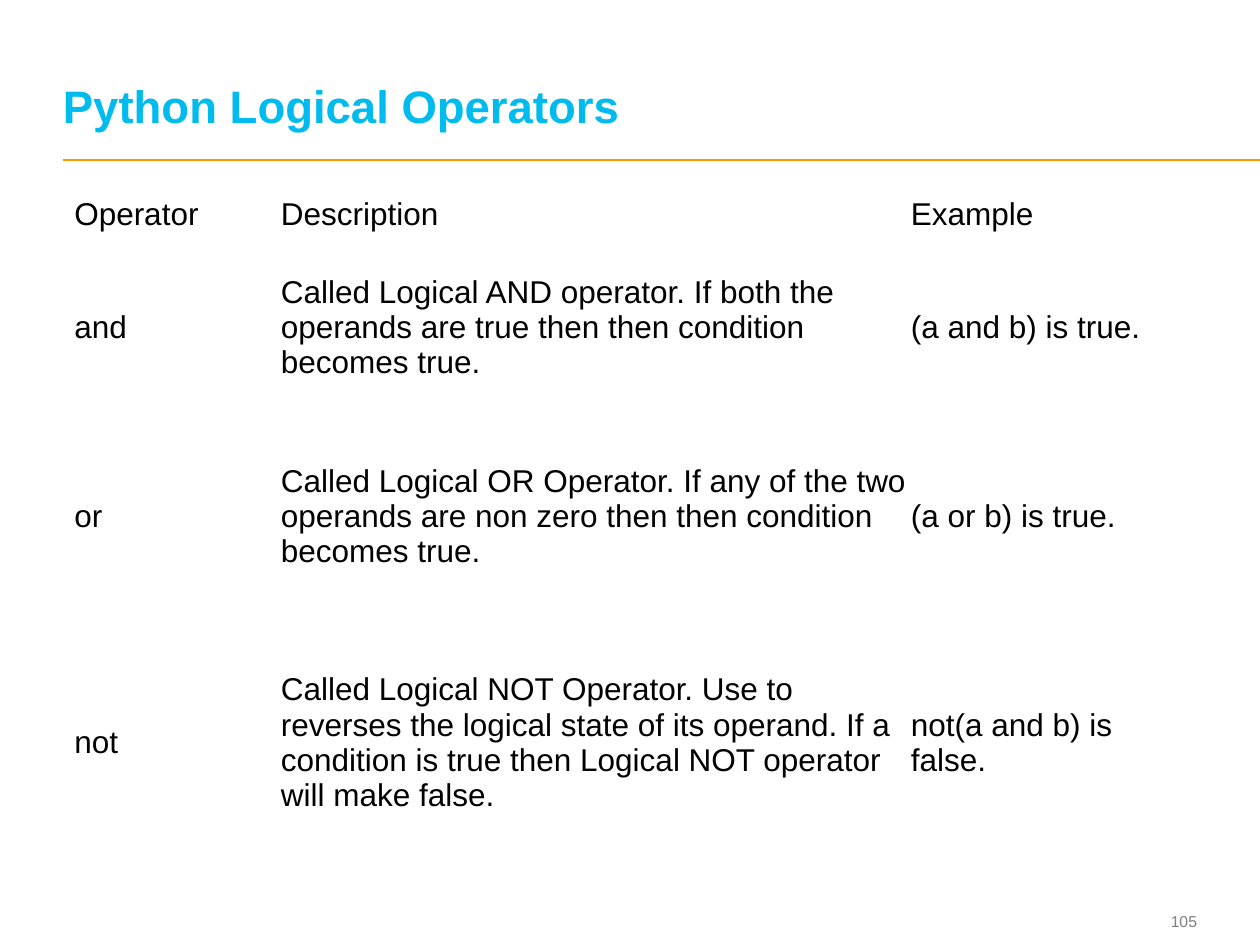
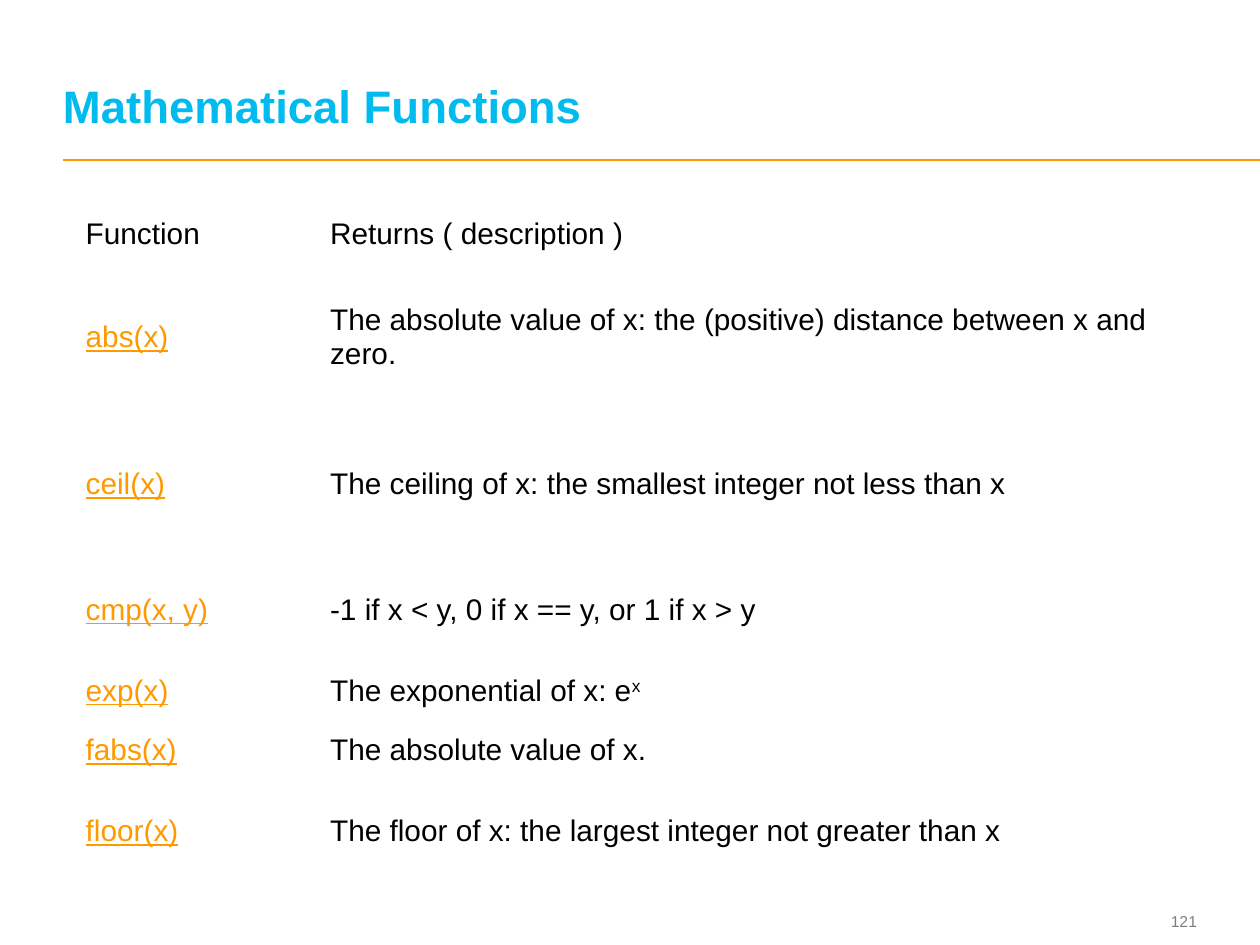
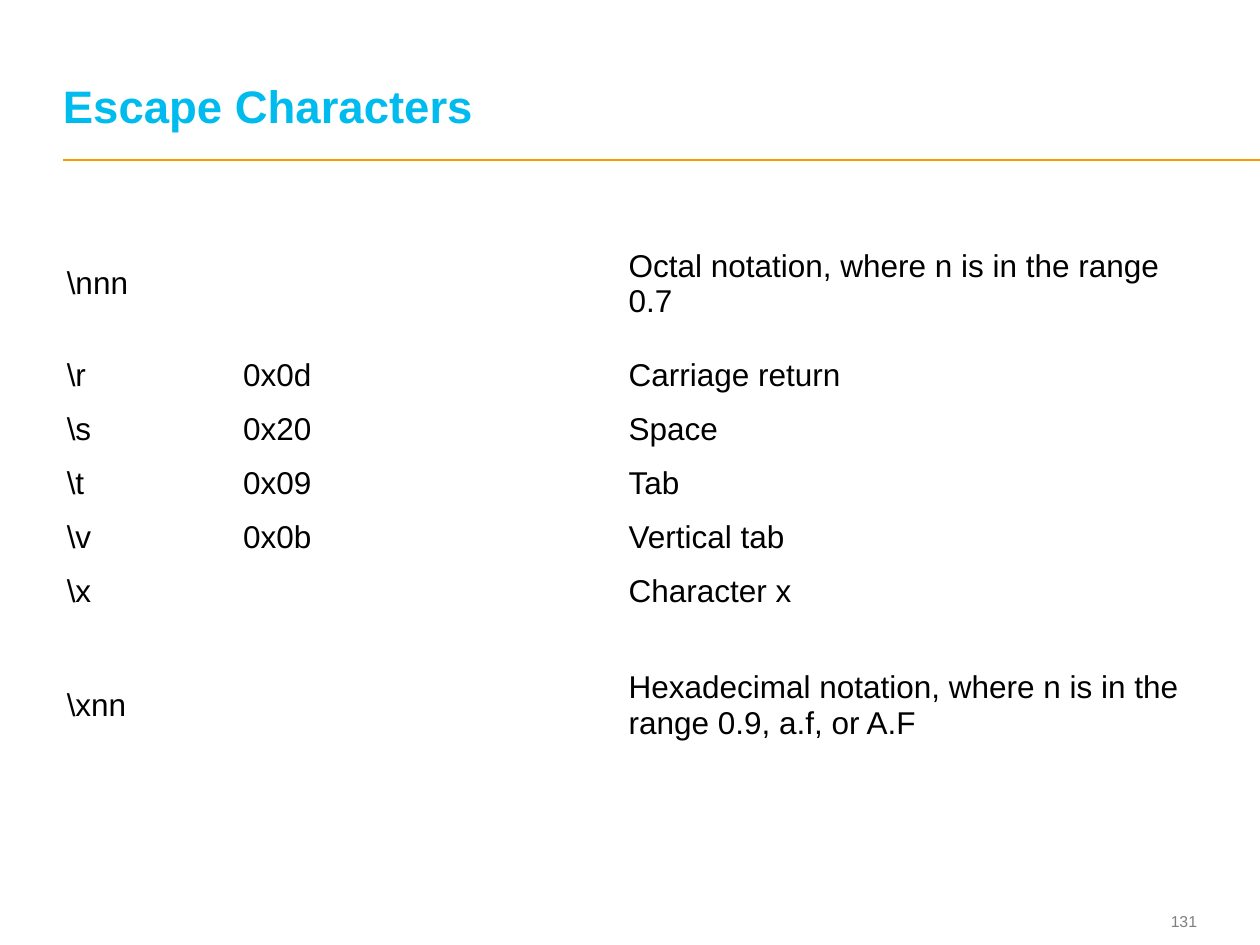
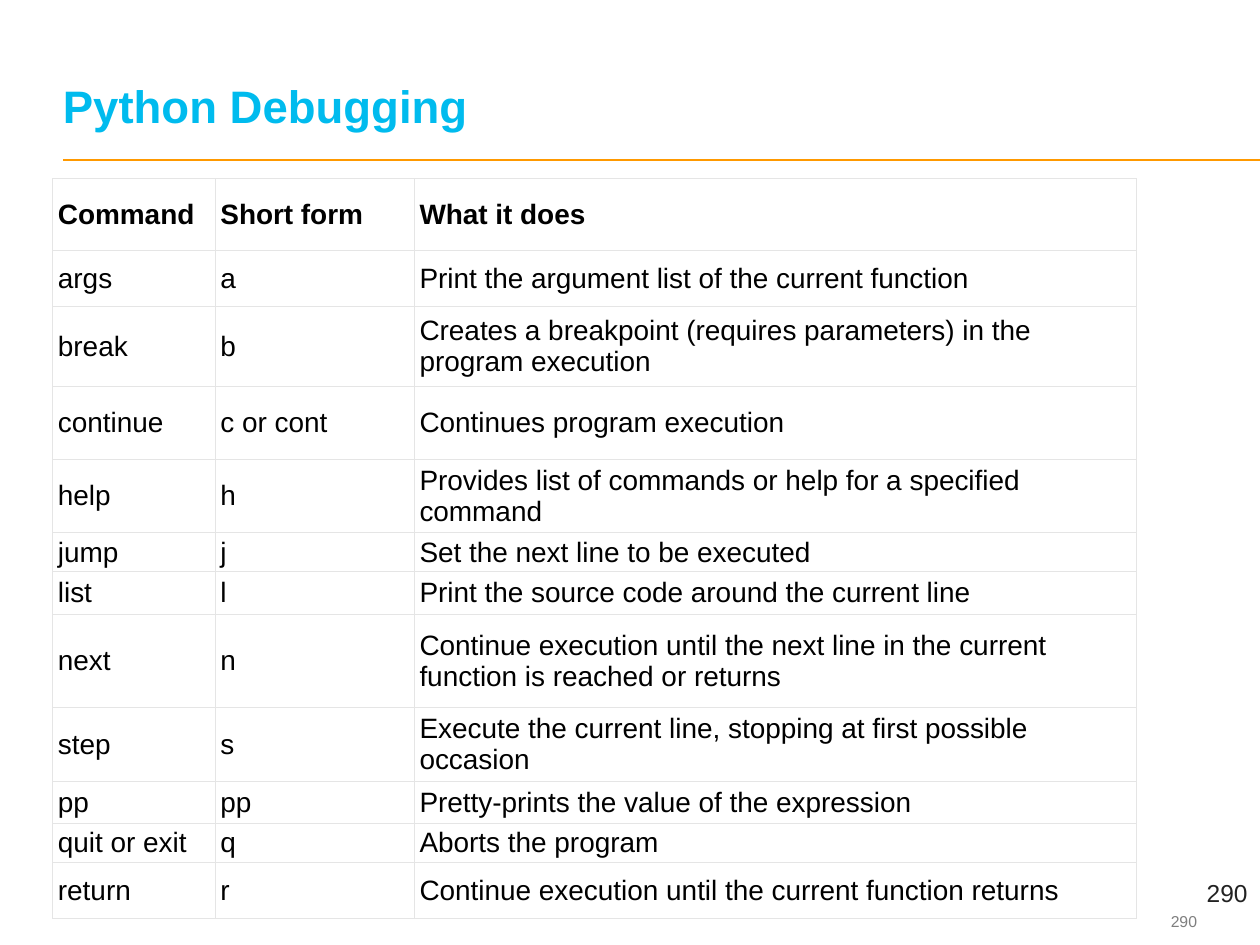
from dataclasses import dataclass

from lxml.etree import SubElement
from pptx import Presentation
from pptx.dml.color import RGBColor
from pptx.enum.shapes import MSO_CONNECTOR
from pptx.enum.text import MSO_ANCHOR, PP_ALIGN
from pptx.oxml.ns import qn
from pptx.util import Inches, Pt


@dataclass(frozen=True)
class Theme:
    """Colours, type sizes and line widths shared by all slides."""
    font: str = "Arial"
    title: str = "00BBEE"
    accent: str = "FF9900"
    text: str = "000000"
    muted: str = "7F7F7F"
    dark: str = "222222"
    border: str = "E5E5E5"
    paper: str = "FFFFFF"
    title_size: int = 26
    body_size: int = 18
    function_size: int = 17
    command_size: int = 16
    page_size: int = 14
    footer_size: int = 9
    rule_width: float = 1
    border_width: float = 0.6
    no_style: str = "{2D5ABB26-0587-4C30-8999-92F81FD0307C}"


@dataclass(frozen=True)
class Box:
    """A rectangle in EMU."""
    x: int
    y: int
    w: int
    h: int

    def area(self, col, row, cols, rows):
        """Return an area measured on a grid of 100 columns and 75 rows."""
        dx, dy = self.w / 100, self.h / 75
        return Box(int(self.x + col * dx), int(self.y + row * dy), int(cols * dx), int(rows * dy))


@dataclass(frozen=True)
class TableStyle:
    """Look of one table: type size, cell insets in inches and options."""
    size: int
    inset: tuple = (0.1, 0.05)
    links: bool = False
    ruled: bool = False


T = Theme()


def style_font(font, size, color, bold=False, underline=False):
    """Set the theme font with a size, a colour and emphasis."""
    font.name, font.size, font.bold = T.font, Pt(size), bold
    font.underline = underline
    font.color.rgb = RGBColor.from_string(color)


def add_text(slide, box, text, size, color, bold=False, align=PP_ALIGN.LEFT,
             anchor=MSO_ANCHOR.TOP, flush=True):
    """Add a one-paragraph text box and return its paragraph."""
    tf = slide.shapes.add_textbox(box.x, box.y, box.w, box.h).text_frame
    tf.word_wrap, tf.vertical_anchor = True, anchor
    if flush:
        tf.margin_left = tf.margin_right = tf.margin_top = tf.margin_bottom = 0
    p = tf.paragraphs[0]
    p.text, p.alignment = text, align
    style_font(p.font, size, color, bold)
    return p


def add_frame(slide, box, title, number):
    """Add the rule, the page number and the title of a slide."""
    rule = box.area(5, 12.7, 95, 0)
    line = slide.shapes.add_connector(MSO_CONNECTOR.STRAIGHT, rule.x, rule.y,
                                      rule.x + rule.w, rule.y)
    line.line.color.rgb = RGBColor.from_string(T.accent)
    line.line.width = Pt(T.rule_width)
    SubElement(line._element.spPr, qn("a:effectLst"))
    add_text(slide, box.area(89.1, 71.8, 5.9, 2.7), number, T.footer_size, T.muted,
             align=PP_ALIGN.RIGHT, anchor=MSO_ANCHOR.MIDDLE)
    p = add_text(slide, box.area(5, 1.9, 89.7, 8.6), title, T.title_size, T.title,
                 bold=True, anchor=MSO_ANCHOR.BOTTOM)
    p.line_spacing = Pt(T.title_size)


def add_borders(cell):
    """Draw a thin line on each side of a cell."""
    tcPr = cell._tc.get_or_add_tcPr()
    for side in ("lnL", "lnR", "lnT", "lnB"):
        ln = SubElement(tcPr, qn(f"a:{side}"), w=str(Pt(T.border_width)))
        fill = SubElement(ln, qn("a:solidFill"))
        SubElement(fill, qn("a:srgbClr"), val=T.border)


def fill_cell(cell, text, style, header, link):
    """Write and format one cell; a caret marks what follows as superscript."""
    cell.margin_left = cell.margin_right = Inches(style.inset[0])
    cell.margin_top = cell.margin_bottom = Inches(style.inset[1])
    cell.vertical_anchor = MSO_ANCHOR.MIDDLE
    if style.ruled:
        add_borders(cell)
        cell.fill.solid()
        cell.fill.fore_color.rgb = RGBColor.from_string(T.paper)
    else:
        cell.fill.background()
    p = cell.text_frame.paragraphs[0]
    base, _, power = text.partition("^")
    if base:
        p.add_run().text = base
    if power:
        r = p.add_run()
        r.text = power
        r._r.get_or_add_rPr().set("baseline", "30000")
    style_font(p.font, style.size, T.accent if link else T.text,
               bold=header and style.ruled, underline=link)


def add_grid(slide, box, rows, widths, heights, style):
    """Fill a box with a table whose columns and rows follow the given weights."""
    table = slide.shapes.add_table(len(rows), len(widths), box.x, box.y, box.w, box.h).table
    table.first_row = table.horz_banding = False
    table._tbl.tblPr.find(qn("a:tableStyleId")).text = T.no_style
    for col, weight in zip(table.columns, widths):
        col.width = int(box.w * weight / sum(widths))
    for row, weight in zip(table.rows, heights):
        row.height = int(box.h * weight / sum(heights))
    for i, texts in enumerate(rows):
        for j, text in enumerate(texts):
            fill_cell(table.cell(i, j), text, style, i == 0, style.links and i > 0 and j == 0)


def logical_operators(slide, box):
    """Build the slide on logical operators."""
    add_frame(slide, box, "Python Logical Operators", "105")
    rows = [
        ("Operator", "Description", "Example"),
        ("and", "Called Logical AND operator. If both the operands are true then then "
                "condition becomes true.", "(a and b) is true."),
        ("or", "Called Logical OR Operator. If any of the two operands are non zero then "
               "then condition becomes true.", "(a or b) is true."),
        ("not", "Called Logical NOT Operator. Use to reverses the logical state of its "
                "operand. If a condition is true then Logical NOT operator will make false.",
         "not(a and b) is false."),
    ]
    add_grid(slide, box.area(5.8, 15.3, 88.4, 53.8), rows, (1.64, 5, 2.2),
             (0.35, 1.44, 1.56, 2.03), TableStyle(T.body_size, (0.01, 0)))


def mathematical_functions(slide, box):
    """Build the slide on mathematical functions."""
    add_frame(slide, box, "Mathematical Functions", "121")
    rows = [
        ("Function", "Returns ( description )"),
        ("abs(x)", "The absolute value of x: the (positive) distance between x and zero."),
        ("ceil(x)", "The ceiling of x: the smallest integer not less than x"),
        ("cmp(x, y)", "-1 if x < y, 0 if x == y, or 1 if x > y"),
        ("exp(x)", "The exponential of x: e^x"),
        ("fabs(x)", "The absolute value of x."),
        ("floor(x)", "The floor of x: the largest integer not greater than x"),
    ]
    add_grid(slide, box.area(5.8, 16.2, 91.3, 53.9), rows, (1.94, 7.19),
             (0.47, 1.17, 1.17, 0.82, 0.47, 0.47, 0.82),
             TableStyle(T.function_size, links=True))


def escape_characters(slide, box):
    """Build the slide on escape characters."""
    add_frame(slide, box, "Escape Characters", "131")
    rows = [
        (r"\nnn", "", "Octal notation, where n is in the range 0.7"),
        (r"\r", "0x0d", "Carriage return"),
        (r"\s", "0x20", "Space"),
        (r"\t", "0x09", "Tab"),
        (r"\v", "0x0b", "Vertical tab"),
        (r"\x", "", "Character x"),
        (r"\xnn", "", "Hexadecimal notation, where n is in the range 0.9, a.f, or A.F"),
    ]
    add_grid(slide, box.area(4.3, 17.4, 90.8, 45.5), rows, (1.4, 3.06, 4.62),
             (1.03, *[0.43] * 5, 1.38), TableStyle(T.body_size))


def debugging(slide, box):
    """Build the slide on debugger commands."""
    add_frame(slide, box, "Python Debugging", "290")
    add_text(slide, box.area(77.5, 69.2, 22.5, 4.2), "290", T.page_size, T.dark,
             align=PP_ALIGN.RIGHT, flush=False)
    rows = [
        ("Command", "Short form", "What it does"),
        ("args", "a", "Print the argument list of the current function"),
        ("break", "b", "Creates a breakpoint (requires parameters) in the program execution"),
        ("continue", "c or cont", "Continues program execution"),
        ("help", "h", "Provides list of commands or help for a specified command"),
        ("jump", "j", "Set the next line to be executed"),
        ("list", "l", "Print the source code around the current line"),
        ("next", "n", "Continue execution until the next line in the current function "
                      "is reached or returns"),
        ("step", "s", "Execute the current line, stopping at first possible occasion"),
        ("pp", "pp", "Pretty-prints the value of the expression"),
        ("quit or exit", "q", "Aborts the program"),
        ("return", "r", "Continue execution until the current function returns"),
    ]
    heights = (0.57, 0.44, 0.64, 0.58, 0.58, 0.31, 0.34, 0.74, 0.58, 0.34, 0.31, 0.44)
    add_grid(slide, box.area(4.2, 14.2, 86, 58.7), rows, (1.29, 1.58, 5.73), heights,
             TableStyle(T.command_size, (0.04, 0.02), ruled=True))


def main():
    """Build the four slides and save them."""
    prs = Presentation()
    prs.slide_width, prs.slide_height = Inches(10), Inches(7.5)
    page = Box(0, 0, prs.slide_width, prs.slide_height)
    for build in (logical_operators, mathematical_functions, escape_characters, debugging):
        build(prs.slides.add_slide(prs.slide_layouts[6]), page)
    prs.save("out.pptx")


if __name__ == "__main__":
    main()
